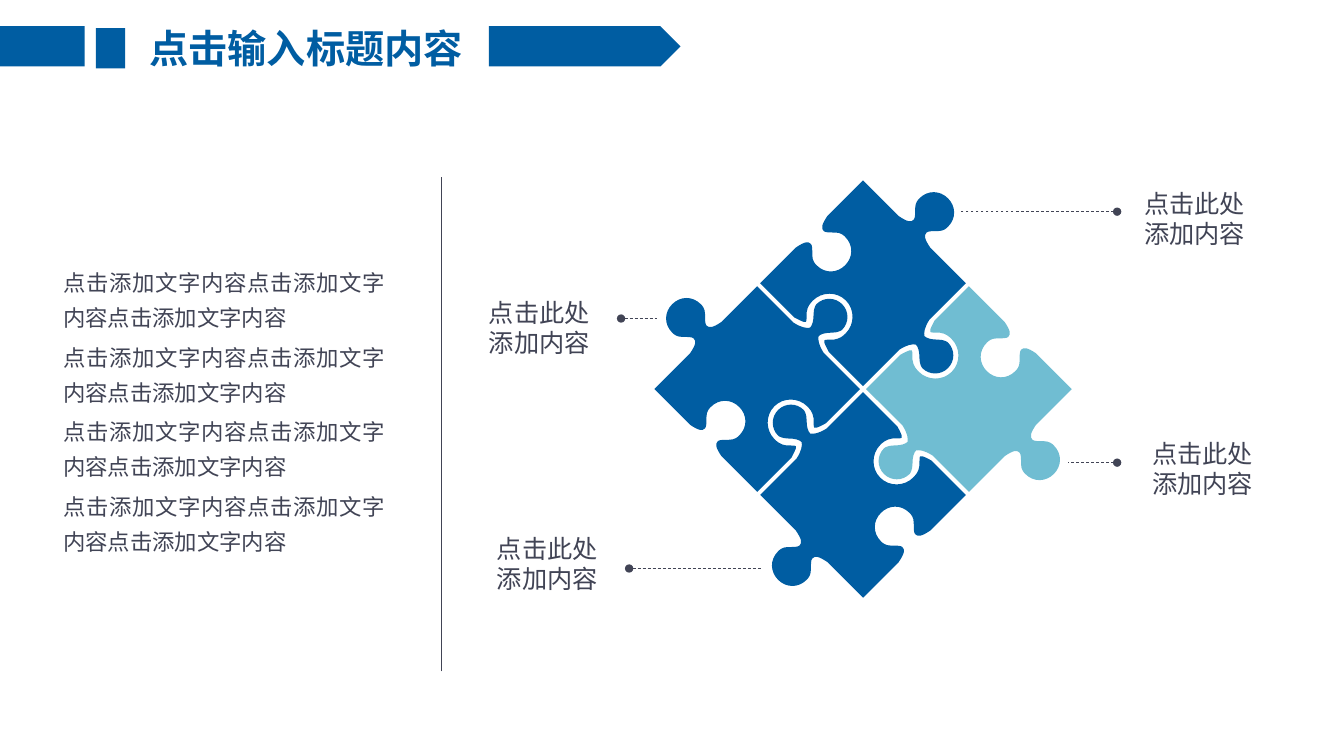
from dataclasses import dataclass
from math import sqrt

from lxml import etree
from pptx import Presentation
from pptx.dml.color import RGBColor
from pptx.enum.dml import MSO_LINE
from pptx.enum.shapes import MSO_CONNECTOR, MSO_SHAPE
from pptx.enum.text import MSO_ANCHOR, MSO_AUTO_SIZE, PP_ALIGN
from pptx.oxml.ns import qn
from pptx.util import Inches, Pt

RECT, PENTAGON = MSO_SHAPE.RECTANGLE, MSO_SHAPE.PENTAGON
STRAIGHT, DASH = MSO_CONNECTOR.STRAIGHT, MSO_LINE.DASH
TOP = MSO_ANCHOR.TOP
CENTER, JUSTIFY = PP_ALIGN.CENTER, PP_ALIGN.JUSTIFY
GROW, FIXED = MSO_AUTO_SIZE.SHAPE_TO_FIT_TEXT, MSO_AUTO_SIZE.NONE

FONT = "Noto Sans CJK SC"
COLORS = {"blue": "005DA2", "teal": "70BDD2", "ink": "414455"}

Point = tuple[float, float]
Box = tuple[float, float, float, float]

PUZZLE_CENTER = (8.56, 3.86)
PIECE_OFFSET = 1.05
HALF_DIAGONAL = 1.02
EDGE_POINTS = 26  # a corner, the joint's start and eight curves of three points

# Half of each joint, up to its tip: (along the edge from its middle, away from
# the edge). A start point, then three points for each cubic curve.
JOINTS: dict[str, list[Point]] = {
    "outer": [(-0.22, 0), (-0.12, 0.02), (-0.09, 0.04), (-0.09, 0.08),
              (-0.09, 0.1), (-0.12, 0.13), (-0.16, 0.17),
              (-0.2, 0.21), (-0.2, 0.25), (-0.2, 0.27),
              (-0.2, 0.39), (-0.11, 0.47), (0, 0.47)],
    "inner knob": [(-0.21, 0), (-0.12, 0.02), (-0.08, 0.05), (-0.06, 0.08),
                   (-0.06, 0.11), (-0.08, 0.15), (-0.13, 0.2),
                   (-0.17, 0.24), (-0.18, 0.28), (-0.18, 0.29),
                   (-0.18, 0.39), (-0.1, 0.47), (0, 0.47)],
    "inner socket": [(-0.24, 0), (-0.14, 0.03), (-0.13, 0.04), (-0.13, 0.05),
                     (-0.13, 0.06), (-0.15, 0.08), (-0.19, 0.12),
                     (-0.23, 0.17), (-0.23, 0.22), (-0.23, 0.25),
                     (-0.23, 0.37), (-0.13, 0.48), (0, 0.48)],
}
OUT, IN = 1, -1
OUTER_KNOB, OUTER_SOCKET = ("outer", OUT), ("outer", IN)
INNER_KNOB, INNER_SOCKET = ("inner knob", OUT), ("inner socket", IN)


@dataclass
class Piece:
    direction: Point
    color: str
    edges: tuple  # clockwise from the top corner


@dataclass
class Callout:
    label_at: Point
    dot: Point
    line_end: float


@dataclass
class Bar:
    shape: MSO_SHAPE
    box: Box


PIECES = [
    Piece((0, -1), "blue", (OUTER_KNOB, INNER_KNOB, INNER_SOCKET, OUTER_SOCKET)),
    Piece((1, 0), "teal", (OUTER_SOCKET, OUTER_KNOB, INNER_KNOB, INNER_SOCKET)),
    Piece((0, 1), "blue", (INNER_SOCKET, OUTER_SOCKET, OUTER_KNOB, INNER_KNOB)),
    Piece((-1, 0), "blue", (INNER_KNOB, INNER_SOCKET, OUTER_SOCKET, OUTER_KNOB)),
]
CALLOUTS = [
    Callout((4.75, 2.9), (6.16, 3.16), 6.52),
    Callout((4.83, 5.24), (6.24, 5.64), 7.55),
    Callout((11.25, 1.82), (11.08, 2.1), 9.52),
    Callout((11.33, 4.3), (11.08, 4.59), 10.59),
]
BARS = [
    Bar(PENTAGON, (4.85, 0.26, 1.9, 0.4)),
    Bar(RECT, (0, 0.26, 0.84, 0.4)),
    Bar(RECT, (0.95, 0.28, 0.29, 0.4)),
]
LABEL = ["点击此处", "添加内容"]
BODY = ["点击添加文字内容" * 3] * 4


def rgb(name: str) -> RGBColor:
    return RGBColor.from_string(COLORS[name])


def fill_plain(s, color: str) -> None:
    s.shadow.inherit = False
    s.fill.solid()
    s.fill.fore_color.rgb = rgb(color)
    s.line.fill.background()


def joint_points(kind: str) -> list[Point]:
    """Mirror a half joint into a whole one."""
    half = JOINTS[kind]
    return half + [(-u, v) for u, v in reversed(half[:-1])]


def curve_joints(s) -> None:
    """Turn each joint's line segments, three at a time, into cubic curves."""
    for i, segment in enumerate(list(s._element.iter(qn("a:lnTo"))), 1):
        place = i % EDGE_POINTS
        if place < 2:
            continue
        if place % 3 == 2:
            curve = etree.Element(qn("a:cubicBezTo"))
            segment.addprevious(curve)
        curve.append(segment[0])
        segment.getparent().remove(segment)


def draw_piece(shapes, piece: Piece) -> None:
    cx, cy = (c + PIECE_OFFSET * d for c, d in zip(PUZZLE_CENTER, piece.direction))
    corners = [(cx + HALF_DIAGONAL * dx, cy + HALF_DIAGONAL * dy)
               for dx, dy in ((0, -1), (1, 0), (0, 1), (-1, 0))]
    length = HALF_DIAGONAL * sqrt(2)
    outline = []
    for i, (kind, side) in enumerate(piece.edges):
        (x0, y0), (x1, y1) = corners[i], corners[(i + 1) % 4]
        ex, ey = (x1 - x0) / length, (y1 - y0) / length
        mx, my = (x0 + x1) / 2, (y0 + y1) / 2
        outline.append((x0, y0))
        outline += [(mx + u * ex + side * v * ey, my + u * ey - side * v * ex)
                    for u, v in joint_points(kind)]
    points = [(Inches(x), Inches(y)) for x, y in outline]
    builder = shapes.build_freeform(*points[0])
    builder.add_line_segments(points[1:], close=True)
    s = builder.convert_to_shape()
    curve_joints(s)
    fill_plain(s, piece.color)


def draw_line(shapes, start: Point, end: Point, width: float, dotted: bool) -> None:
    """Draw a thin line; a dotted one is dashed and starts with a dot."""
    s = shapes.add_connector(STRAIGHT, *(Inches(v) for v in (*start, *end)))
    s.line.color.rgb = rgb("ink")
    s.line.width = Pt(width)
    if dotted:
        s.line.dash_style = DASH
        etree.SubElement(s.line._get_or_add_ln(), qn("a:headEnd"), type="oval")
    etree.SubElement(s._element.spPr, qn("a:effectLst"))


def write_text(s, lines: list[str], size: float, color: str, bold: bool,
               frame: dict, paragraph: dict, gap: float = 0) -> None:
    tf = s.text_frame
    for name, value in frame.items():
        setattr(tf, name, value)
    for i, line in enumerate(lines):
        p = tf.add_paragraph() if i else tf.paragraphs[0]
        for name, value in paragraph.items():
            setattr(p, name, value)
        p.space_before = Pt(gap if i else 0)
        r = p.add_run()
        r.text = line
        r.font.color.rgb = rgb(color)
        for name, value in {"size": Pt(size), "bold": bold, "name": FONT}.items():
            setattr(r.font, name, value)
        etree.SubElement(r._r.get_or_add_rPr(), qn("a:ea"), typeface=FONT)


def main() -> None:
    prs = Presentation()
    prs.slide_width, prs.slide_height = Inches(13.33), Inches(7.5)
    shapes = prs.slides.add_slide(prs.slide_layouts[5]).shapes

    for piece in PIECES:
        draw_piece(shapes, piece)

    for callout in CALLOUTS:
        draw_line(shapes, callout.dot, (callout.line_end, callout.dot[1]), 0.5, True)
        label = shapes.add_textbox(*(Inches(v) for v in (*callout.label_at, 1.21, 0.71)))
        write_text(label, LABEL, 18, "ink", False,
                   {"word_wrap": False, "auto_size": GROW}, {})

    draw_line(shapes, (4.38, 6.66), (4.38, 1.76), 0.25, False)
    body = shapes.add_textbox(*(Inches(v) for v in (0.53, 2.54, 3.39, 3.72)))
    write_text(body, BODY, 16, "ink", False, {"word_wrap": True},
               {"alignment": JUSTIFY, "line_spacing": 1.3}, gap=3.5)

    title = shapes.title
    title.left, title.top, title.width, title.height = (
        Inches(v) for v in (1.24, 0.19, 3.59, 0.57))
    write_text(title, ["点击输入标题内容"], 28, "blue", True,
               {"word_wrap": True, "auto_size": FIXED, "vertical_anchor": TOP},
               {"alignment": CENTER, "line_spacing": 1.0})

    for bar in BARS:
        fill_plain(shapes.add_shape(bar.shape, *(Inches(v) for v in bar.box)), "blue")

    prs.save("out.pptx")


if __name__ == "__main__":
    main()
